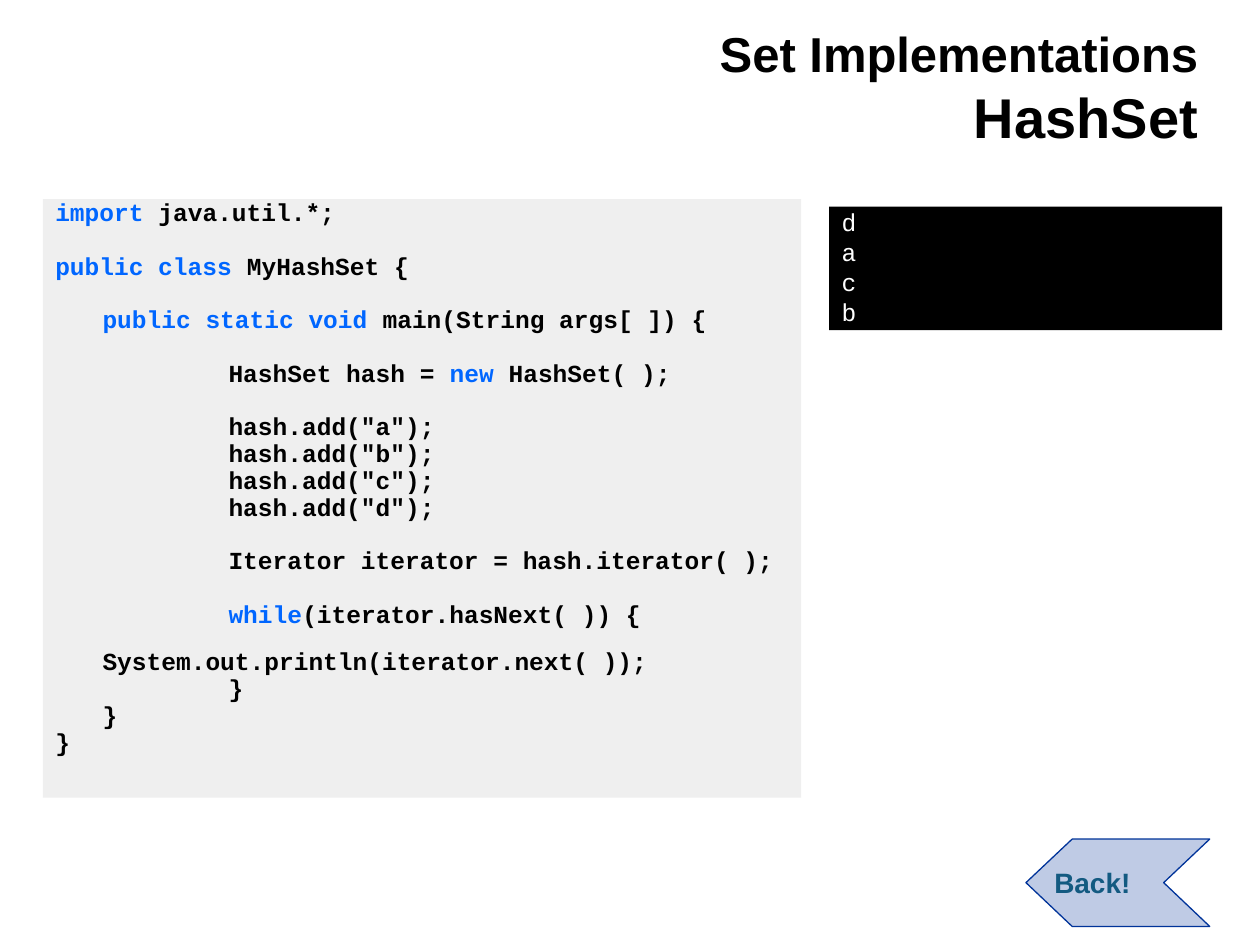
"""Build the HashSet slide with its code listing, output panel and back arrow."""
from dataclasses import dataclass

from lxml import etree
from pptx import Presentation
from pptx.dml.color import RGBColor
from pptx.enum.shapes import MSO_SHAPE
from pptx.enum.text import MSO_ANCHOR, MSO_AUTO_SIZE, PP_ALIGN
from pptx.oxml.ns import qn
from pptx.util import Pt

RECTANGLE = MSO_SHAPE.RECTANGLE
TOP, MIDDLE, BOTTOM = MSO_ANCHOR.TOP, MSO_ANCHOR.MIDDLE, MSO_ANCHOR.BOTTOM
LEFT, RIGHT = PP_ALIGN.LEFT, PP_ALIGN.RIGHT
NO_AUTOFIT = MSO_AUTO_SIZE.NONE

BLACK = RGBColor(0x00, 0x00, 0x00)
WHITE = RGBColor(0xFF, 0xFF, 0xFF)
SILVER = RGBColor(0xC0, 0xC0, 0xC0)
KEYWORD_BLUE = RGBColor(0x00, 0x66, 0xFF)
NAVY = RGBColor(0x00, 0x33, 0x99)
TEAL = RGBColor(0x13, 0x5A, 0x81)

HEADING_FONT = "Arial"
CODE_FONT = "Courier New"
CODE_SIZE = 14
LINE_GAP = 3.6
BLANK_LINE = 15.2
WRAPPED_LINE = 11.6
INDENTS = (0, 27, 99)


@dataclass
class Line:
    """One printed line: text around an optional keyword, indent level and extra gap above."""
    before: str = ""
    keyword: str = ""
    after: str = ""
    level: int = 0
    extra: float = 0


@dataclass
class Panel:
    """A filled rectangle that holds monospaced lines."""
    left: float
    top: float
    width: float
    height: float
    fill: RGBColor
    opacity: int
    ink: RGBColor
    bold: bool
    spacing: float
    lines: list[Line]


PROGRAM = [
    Line(keyword="import", after=" java.util.*;"),
    Line(keyword="public class", after=" MyHashSet {", extra=BLANK_LINE),
    Line(keyword="public static void", after=" main(String args[ ]) {", level=1, extra=BLANK_LINE),
    Line("HashSet hash = ", "new", " HashSet( );", 2, BLANK_LINE),
    *(Line(f'hash.add("{letter}");', level=2, extra=BLANK_LINE if letter == "a" else 0)
      for letter in "abcd"),
    Line("Iterator iterator = hash.iterator( );", level=2, extra=BLANK_LINE),
    Line(keyword="while", after="(iterator.hasNext( )) {", level=2, extra=BLANK_LINE),
    Line("System.out.println(iterator.next( ));", level=1, extra=WRAPPED_LINE),
    Line("}", level=2),
    Line("}", level=1),
    Line("}"),
]

PANELS = [
    Panel(24.5, 113.8, 433.4, 342, SILVER, 25, BLACK, True, 0.7, PROGRAM),
    Panel(473.8, 118.1, 224.6, 70.6, BLACK, 100, WHITE, False, 0.8,
          [Line(letter) for letter in "dacb"]),
]


def fill_shape(shape, color: RGBColor, opacity: int) -> None:
    """Give a shape a solid fill of the given opacity in percent."""
    shape.shadow.inherit = False
    shape.fill.solid()
    shape.fill.fore_color.rgb = color
    if opacity < 100:
        swatch = shape.fill._xPr.find(qn("a:solidFill"))[0]
        etree.SubElement(swatch, qn("a:alpha")).set("val", str(opacity * 1000))


def format_run(run, font: str, size: float, color: RGBColor, bold: bool) -> None:
    """Set the typeface, size, colour and weight of a run."""
    run.font.name = font
    run.font.size = Pt(size)
    run.font.color.rgb = color
    run.font.bold = bold


def draw_title(slide) -> None:
    """Place the two-line heading at the top right."""
    title = slide.shapes.title
    title.left, title.top, title.width, title.height = Pt(50.4), Pt(2.9), Pt(641.5), Pt(86.4)
    frame = title.text_frame
    frame.text = "Set Implementations\nHashSet"
    frame.auto_size = NO_AUTOFIT
    frame.vertical_anchor = BOTTOM
    for paragraph, size in zip(frame.paragraphs, (28, 32)):
        paragraph.alignment = RIGHT
        format_run(paragraph.runs[0], HEADING_FONT, size, BLACK, True)


def draw_panel(slide, panel: Panel) -> None:
    """Draw a panel and write its lines."""
    box = slide.shapes.add_shape(
        RECTANGLE, Pt(panel.left), Pt(panel.top), Pt(panel.width), Pt(panel.height))
    fill_shape(box, panel.fill, panel.opacity)
    box.line.fill.background()
    frame = box.text_frame
    frame.word_wrap = True
    frame.vertical_anchor = TOP
    for index, line in enumerate(panel.lines):
        paragraph = frame.add_paragraph() if index else frame.paragraphs[0]
        paragraph.alignment = LEFT
        paragraph.line_spacing = panel.spacing
        paragraph.space_before = Pt(LINE_GAP + line.extra)
        paragraph._p.get_or_add_pPr().set("marL", str(Pt(INDENTS[line.level])))
        for text, color in ((line.before, panel.ink), (line.keyword, KEYWORD_BLUE),
                            (line.after, panel.ink)):
            if text:
                run = paragraph.add_run()
                run.text = text
                format_run(run, CODE_FONT, CODE_SIZE, color, panel.bold)


def draw_back_arrow(slide) -> None:
    """Draw the notched arrow that points left."""
    tip, shoulder, notch, tail = 586.3, 612.7, 665, 691.3
    top, middle, bottom = 479.5, 504.4, 529.4
    builder = slide.shapes.build_freeform(Pt(tip), Pt(middle))
    corners = [(shoulder, top), (tail, top), (notch, middle), (tail, bottom), (shoulder, bottom)]
    builder.add_line_segments([(Pt(x), Pt(y)) for x, y in corners], close=True)
    arrow = builder.convert_to_shape()
    fill_shape(arrow, NAVY, 25)
    arrow.line.color.rgb = NAVY
    arrow.line.width = Pt(0.75)
    frame = arrow.text_frame
    frame.text = "Back!"
    frame.word_wrap = True
    frame.margin_left = Pt(16.2)
    frame.vertical_anchor = MIDDLE
    label = frame.paragraphs[0]
    label.alignment = LEFT
    format_run(label.runs[0], HEADING_FONT, 16, TEAL, True)


def main() -> None:
    """Assemble and save the slide."""
    deck = Presentation()
    deck.slide_width, deck.slide_height = Pt(720), Pt(540)
    slide = deck.slides.add_slide(deck.slide_layouts.get_by_name("Title Only"))
    draw_title(slide)
    for panel in PANELS:
        draw_panel(slide, panel)
    draw_back_arrow(slide)
    deck.save("out.pptx")


if __name__ == "__main__":
    main()
